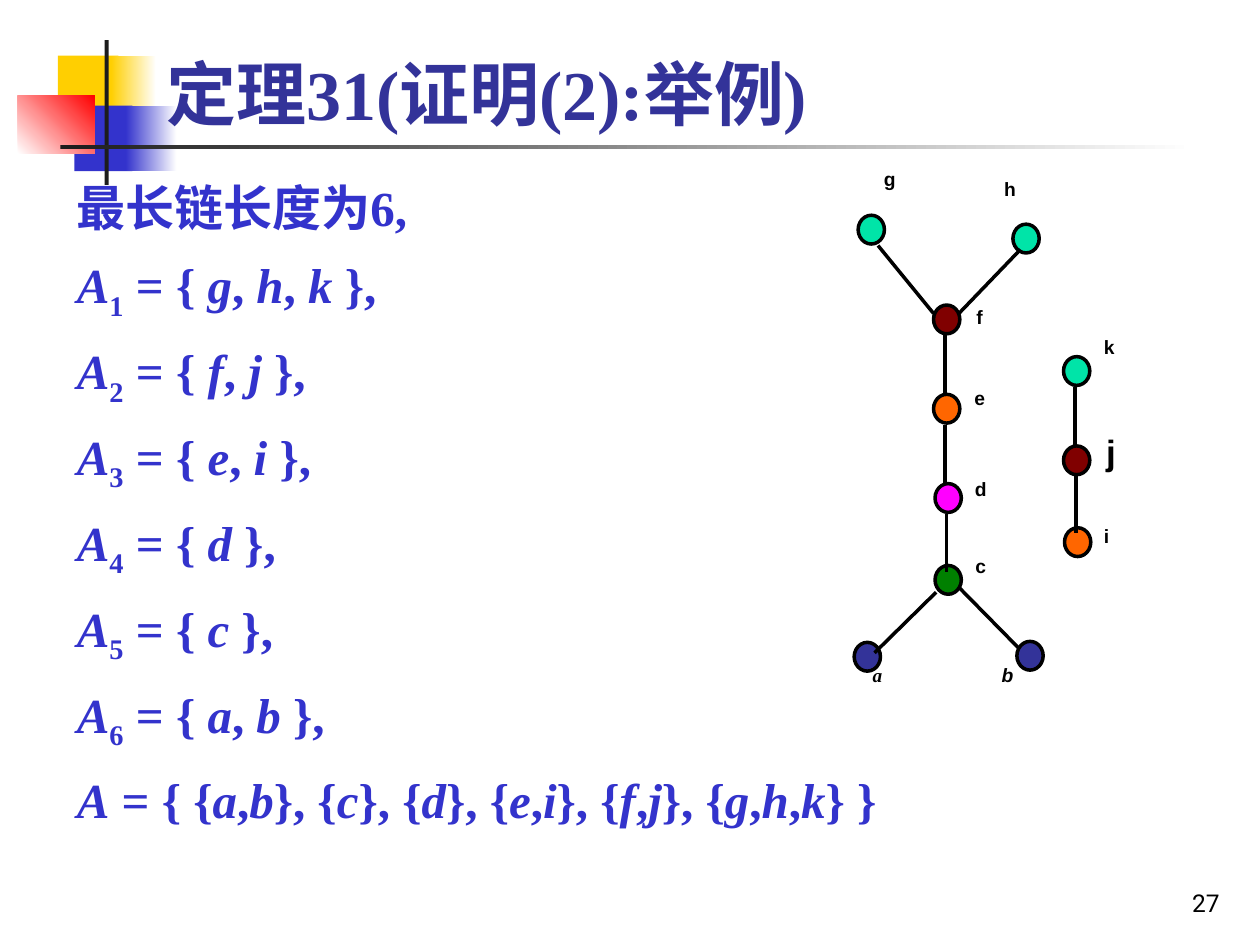
"""Build the slide giving the antichain example for theorem 31."""
from itertools import groupby

from pptx import Presentation
from pptx.dml.color import RGBColor
from pptx.enum import shapes, text
from pptx.oxml import ns, xmlchemy
from pptx.util import Cm, Pt

BLACK = RGBColor(0, 0, 0)
WHITE = RGBColor(255, 255, 255)
CHARCOAL = RGBColor(0x1C, 0x1C, 0x1C)
YELLOW = RGBColor(0xFF, 0xCF, 0x01)
BLUE = RGBColor(0x33, 0x33, 0xCC)
NAVY = RGBColor(0x33, 0x33, 0x99)
RED = RGBColor(255, 0, 0)
MINT = RGBColor(0, 0xE4, 0xA8)
MAROON = RGBColor(0x80, 0, 0)
ORANGE = RGBColor(0xFF, 0x66, 0)
MAGENTA = RGBColor(255, 0, 255)
GREEN = RGBColor(0, 0x80, 0)

TITLE = "定理31(证明(2):举例)"
INTRO = "最长链长度为6,"
FORMULAS = [
    "A1 = { g, h, k },",
    "A2 = { f, j },",
    "A3 = { e, i },",
    "A4 = { d },",
    "A5 = { c },",
    "A6 = { a, b },",
    "A = { {a,b}, {c}, {d}, {e,i}, {f,j}, {g,h,k} }",
]
PAGE_NUMBER = "27"

ORNAMENTS = [
    ((1.17, 1.12, 1.22, 1.32), [YELLOW], 0),
    ((2.24, 1.12, 0.91, 1.32), [YELLOW, WHITE], 0),
    ((1.5, 2.13, 1.17, 1.32), [BLUE], 0),
    ((2.54, 2.13, 1.02, 1.32), [BLUE, WHITE], 0),
    ((0.36, 1.93, 1.55, 1.17), [WHITE, RED], 45),
    ((2.11, 0.81, 0.08, 2.92), [CHARCOAL], 0),
    ((1.22, 2.92, 22.86, 0.08), [CHARCOAL, WHITE], 0),
]

NODE_SIZE = (0.53, 0.58)
LABEL_SIZE = (1.04, 0.79)
NODES = {
    "g": (MINT, (17.3, 4.34), (17.42, 3.33)),
    "h": (MINT, (20.42, 4.52), (19.84, 3.53)),
    "f": (MAROON, (18.82, 6.15), (19.23, 6.12)),
    "e": (ORANGE, (18.82, 7.95), (19.23, 7.75)),
    "d": (MAGENTA, (18.85, 9.75), (19.25, 9.58)),
    "c": (GREEN, (18.85, 11.4), (19.25, 11.13)),
    "a": (NAVY, (17.22, 12.95), (17.17, 13.34)),
    "b": (NAVY, (20.5, 12.93), (19.79, 13.34)),
    "k": (MINT, (21.44, 7.19), (21.84, 6.73)),
    "j": (MAROON, (21.44, 8.99), (22.05, 8.56)),
    "i": (ORANGE, (21.46, 10.64), (21.79, 10.54)),
}
EDGES = [
    (17.7, 4.95, 18.82, 6.32),
    (20.57, 5.03, 19.33, 6.32),
    (19.05, 6.76, 19.05, 7.92),
    (19.05, 8.56, 19.05, 9.73),
    (19.08, 10.36, 19.08, 11.53),
    (18.87, 11.94, 17.63, 13.16),
    (19.35, 11.86, 20.55, 13.08),
    (21.67, 7.8, 21.67, 8.97),
    (21.69, 9.6, 21.69, 10.74),
]

BODY_FONT = {"name": "Times New Roman", "size": Pt(28), "bold": True}
TITLE_FONT = {"name": "Times New Roman", "size": Pt(40), "bold": True}
LABEL_FONT = {"name": "Arial", "size": Pt(11), "bold": True}
LABEL_CHANGES = {
    "a": {"name": "Times New Roman", "italic": True},
    "b": {"italic": True},
    "j": {"size": Pt(20)},
}
NUMBER_FONT = {"name": "Roboto", "size": Pt(14)}


def lengths(values):
    return [Cm(value) for value in values]


def set_values(target, values):
    for name, value in values.items():
        setattr(target, name, value)


def add_span(para, words, font, color):
    span = para.add_run()
    span.text = words
    set_values(span.font, font)
    span.font.color.rgb = color
    return span


def add_box(page, place, **frame_values):
    frame = page.shapes.add_textbox(*lengths(place)).text_frame
    set_values(frame, {"word_wrap": True, **frame_values})
    return frame


def add_shape(page, kind, place, colors, angle=0):
    shape = page.shapes.add_shape(kind, *lengths(place))
    shape.shadow.inherit = False
    shape.line.fill.background()
    if len(colors) == 1:
        shape.fill.solid()
        shape.fill.fore_color.rgb = colors[0]
    else:
        shape.fill.gradient()
        shape.fill.gradient_angle = angle
        for stop, color in zip(shape.fill.gradient_stops, colors):
            stop.color.rgb = color
    return shape


def set_line(line):
    line.color.rgb = BLACK
    line.width = Pt(2)


def char_role(char):
    if char.isdigit():
        return "subscript"
    return "italic" if char.isalpha() else "plain"


def add_title(page):
    title = page.shapes.title
    set_values(title, dict(zip(("left", "top", "width", "height"),
                               lengths((3.1, 0.71, 21.64, 2.13)))))
    set_values(title.text_frame, {"vertical_anchor": text.MSO_ANCHOR.BOTTOM,
                                  "auto_size": text.MSO_AUTO_SIZE.NONE})
    para = title.text_frame.paragraphs[0]
    para.alignment = text.PP_ALIGN.LEFT
    add_span(para, TITLE, TITLE_FONT, NAVY)
    page.shapes._spTree.append(title._element)


def add_body(page):
    frame = add_box(page, (1.3, 3.33, 23.19, 13.79))
    intro = frame.paragraphs[0]
    intro.line_spacing = 1.1
    add_span(intro, INTRO, BODY_FONT, BLUE)
    for formula in FORMULAS:
        para = frame.add_paragraph()
        set_values(para, {"line_spacing": 1.1, "space_before": Pt(7)})
        for role, chars in groupby(formula, char_role):
            span = add_span(para, "".join(chars), BODY_FONT, BLUE)
            span.font.italic = role == "italic"
            if role == "subscript":
                span._r.get_or_add_rPr().set("baseline", "-25000")


def add_diagram(page):
    for color, corner, _ in NODES.values():
        node = add_shape(page, shapes.MSO_SHAPE.OVAL, corner + NODE_SIZE, [color])
        set_line(node.line)
    for ends in EDGES:
        edge = page.shapes.add_connector(shapes.MSO_CONNECTOR.STRAIGHT, *lengths(ends))
        set_line(edge.line)
        edge._element.spPr.append(xmlchemy.OxmlElement("a:effectLst"))
    for name, (_, _, corner) in NODES.items():
        large = name == "j"
        size = (0.69, 1.12) if large else LABEL_SIZE
        para = add_box(page, corner + size, word_wrap=not large).paragraphs[0]
        set_values(para, {"alignment": text.PP_ALIGN.CENTER,
                          "line_spacing": 1.0 if large else 0.8})
        add_span(para, name, {**LABEL_FONT, **LABEL_CHANGES.get(name, {})}, BLACK)


def main():
    deck = Presentation()
    deck.slide_width, deck.slide_height = lengths((25.4, 19.05))
    page = deck.slides.add_slide(deck.slide_layouts[5])
    for place, colors, angle in ORNAMENTS:
        add_shape(page, shapes.MSO_SHAPE.RECTANGLE, place, colors, angle)
    add_title(page)
    add_body(page)
    add_diagram(page)
    number = add_box(page, (19.56, 17.35, 5.28, 1.27),
                     vertical_anchor=text.MSO_ANCHOR.BOTTOM).paragraphs[0]
    number.alignment = text.PP_ALIGN.RIGHT
    add_span(number, PAGE_NUMBER, NUMBER_FONT, BLACK)
    deck.save("out.pptx")


if __name__ == "__main__":
    main()
